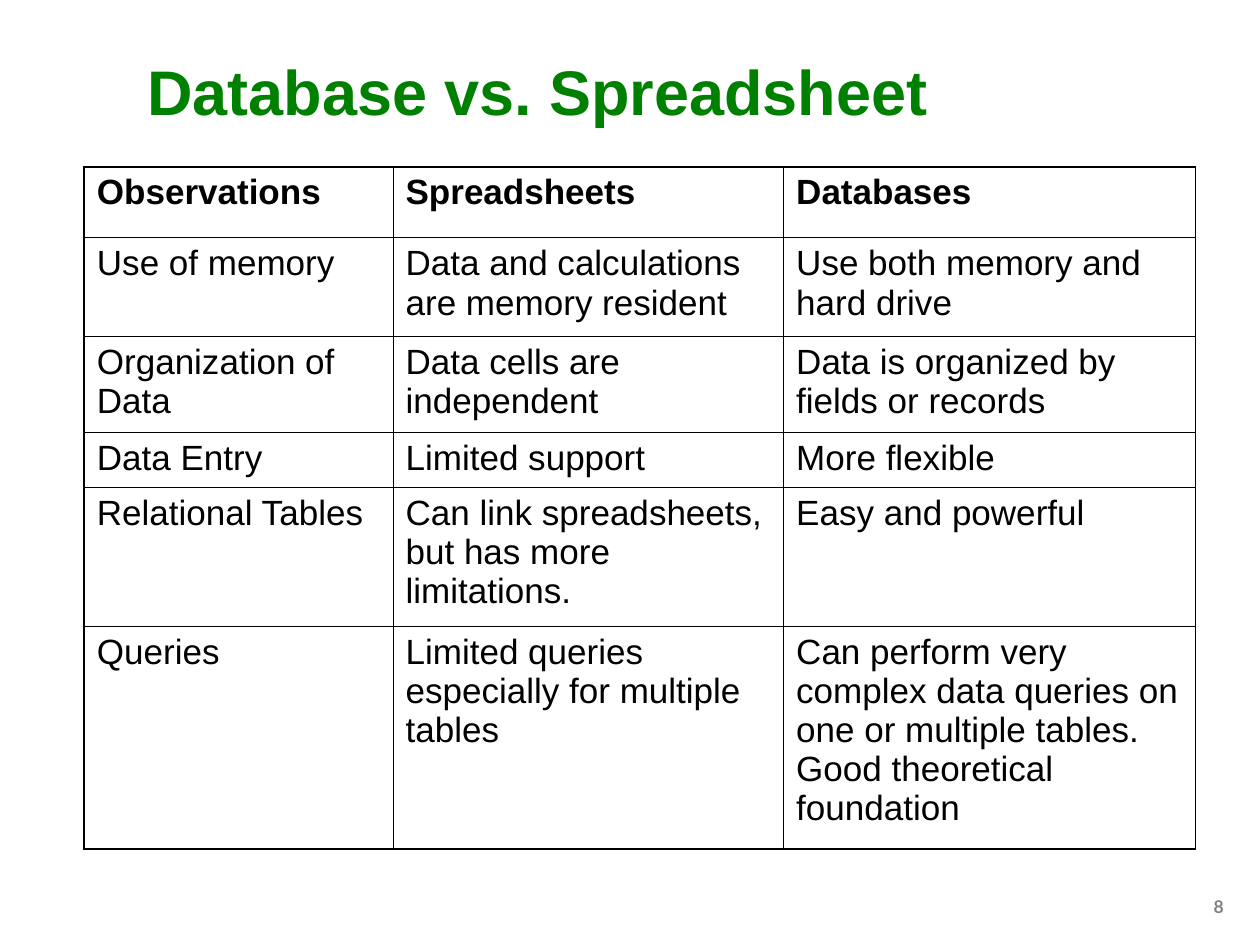
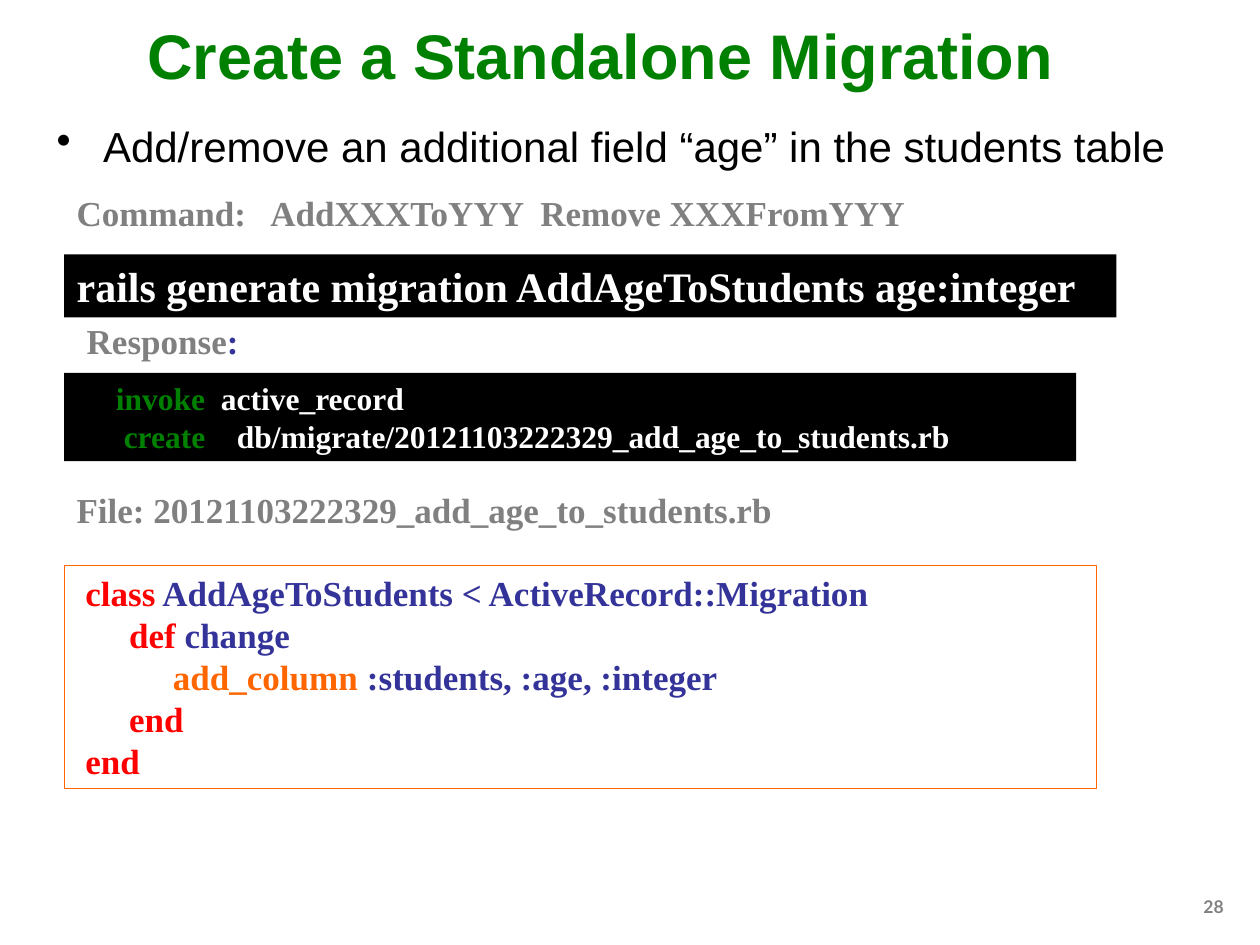
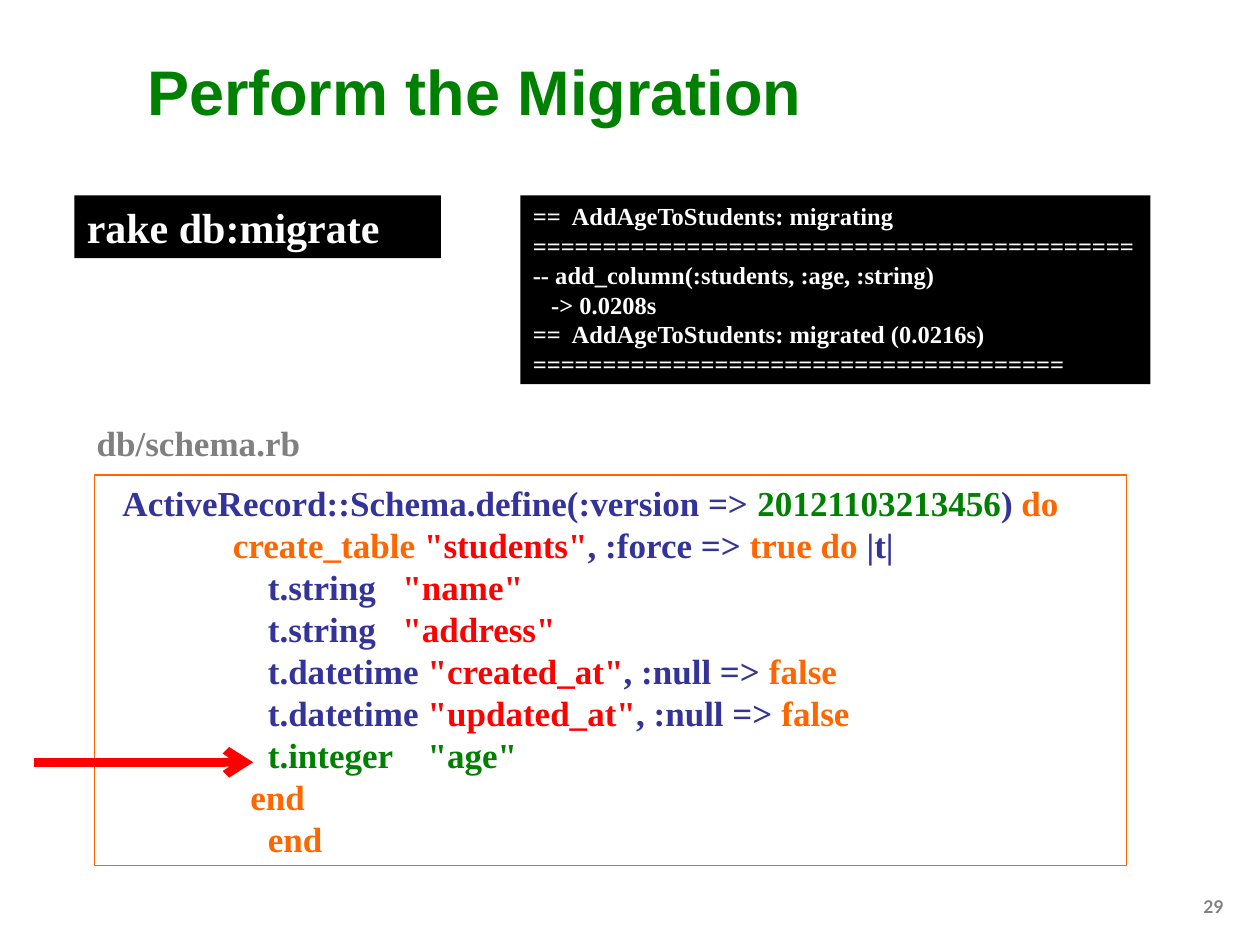
from lxml.etree import SubElement
from pptx import Presentation
from pptx.dml.color import RGBColor
from pptx.enum.shapes import MSO_CONNECTOR, MSO_SHAPE
from pptx.enum.text import MSO_ANCHOR, PP_ALIGN
from pptx.oxml.ns import qn
from pptx.util import Pt

HUES = {
    "black": "000000", "white": "FFFFFF", "green": "008000", "gray": "808080",
    "navy": "333399", "red": "FF0000", "orange": "FF6600",
}
SANS, SERIF, SMALL = "Arial", "Times New Roman", "Lato"
THIN, THICK = 0.45, 1.08

COLS = [176.4, 223.2, 235.4]
ROWS = [40.6, 56.2, 55.2, 31.2, 79.2, 127.4]
CELLS = [
    ["Observations", "Spreadsheets", "Databases"],
    ["Use of memory", "Data and calculations are memory resident",
     "Use both memory and hard drive"],
    ["Organization of Data", "Data cells are independent",
     "Data is organized by fields or records"],
    ["Data Entry", "Limited support", "More flexible"],
    ["Relational Tables", "Can link spreadsheets, but has more limitations.",
     "Easy and powerful"],
    ["Queries", "Limited queries especially for multiple tables",
     "Can perform very complex data queries on one or multiple tables. "
     "Good theoretical foundation"],
]

REPLY = [
    [("     invoke", "green"), ("  active_record", "white")],
    [("      create", "green"),
     ("    db/migrate/20121103222329_add_age_to_students.rb", "white")],
]
CHANGE = [
    [(" class", "red"), (" AddAgeToStudents < ActiveRecord::Migration", "navy")],
    [("      def", "red"), (" change", "navy")],
    [("           add_column ", "orange"), (":students, :age, :integer", "navy")],
    [("      end", "red")],
    [(" end", "red")],
]
LOG = [
    [("==  AddAgeToStudents: migrating " + "=" * 43
      + "-- add_column(:students, :age, :string)", "white")],
    [("   -> 0.0208s", "white")],
    [("==  AddAgeToStudents: migrated (0.0216s) " + "=" * 38, "white")],
]
SCHEMA = [
    [("  ActiveRecord::Schema.define(:version => ", "navy"),
     ("20121103213456", "green"), (") ", "navy"), ("do", "orange")],
    [("create_table ", "orange"), ('"students"', "red"), (", :force => ", "navy"),
     ("true do ", "orange"), ("|t|", "navy")],
    [("    t.string   ", "navy"), ('"name"', "red")],
    [("    t.string   ", "navy"), ('"address"', "red")],
    [("    t.datetime ", "navy"), ('"created_at"', "red"),
     (", :null => ", "navy"), ("false", "orange")],
    [("    t.datetime ", "navy"), ('"updated_at"', "red"),
     (", :null => ", "navy"), ("false", "orange")],
    [('    t.integer    "age"', "green")],
    [("  end", "orange")],
    [("    end", "orange")],
]


def tint(name):
    return RGBColor.from_string(HUES[name])


def style(run, size, face, hue, bold=True):
    font = run.font
    font.size, font.name, font.bold = Pt(size), face, bold
    font.color.rgb = tint(hue)


def add_text(slide, box, text, size, face, hue, bold=True):
    """Add a one-paragraph text box and return its frame."""
    frame = slide.shapes.add_textbox(*map(Pt, box)).text_frame
    frame.word_wrap = True
    frame.text = text
    style(frame.paragraphs[0].runs[0], size, face, hue, bold)
    return frame


def add_page(deck, title, number, top=20.9):
    slide = deck.slides.add_slide(deck.slide_layouts[6])
    frame = add_text(slide, (655.2, 508.3, 51.1, 20.2), str(number), 10, SMALL, "gray")
    frame.paragraphs[0].alignment = PP_ALIGN.RIGHT
    frame = add_text(slide, (77, top, 612, 61.9), title, 36, SANS, "green")
    frame.vertical_anchor = MSO_ANCHOR.MIDDLE
    return slide


def add_label(slide, left, top, parts):
    frame = slide.shapes.add_textbox(Pt(left), Pt(top), Pt(540), Pt(31.7)).text_frame
    fill_lines(frame, [parts], 20)


def fill_lines(frame, lines, size, inset=0):
    """Write coloured lines; inset indents every line after the first."""
    frame.word_wrap = True
    for i, parts in enumerate(lines):
        para = frame.paragraphs[0] if i == 0 else frame.add_paragraph()
        para.alignment = PP_ALIGN.LEFT
        para.line_spacing = Pt(size * 1.2)
        if i and inset:
            para._p.get_or_add_pPr().set("marL", str(Pt(inset)))
        for text, hue in parts:
            run = para.add_run()
            run.text = text
            style(run, size, SERIF, hue)


def add_panel(slide, box, lines, size, fill=None, edge=None, inset=0):
    panel = slide.shapes.add_shape(MSO_SHAPE.RECTANGLE, *map(Pt, box))
    panel.shadow.inherit = False
    if fill:
        panel.fill.solid()
        panel.fill.fore_color.rgb = tint(fill)
    else:
        panel.fill.background()
    if edge:
        panel.line.color.rgb = tint(edge)
        panel.line.width = Pt(0.75)
    else:
        panel.line.fill.background()
    panel.text_frame.vertical_anchor = MSO_ANCHOR.TOP
    fill_lines(panel.text_frame, lines, size, inset)


def add_bullet(slide, box, text):
    para = add_text(slide, box, text, 24, SANS, "black", False).paragraphs[0]
    props = para._p.get_or_add_pPr()
    props.set("marL", str(Pt(26.6)))
    props.set("indent", str(Pt(-26.6)))
    SubElement(props, qn("a:buChar")).set("char", "•")


def add_edges(cell, widths):
    """Draw the left, right, top and bottom borders of a cell."""
    props = cell._tc.get_or_add_tcPr()
    for spot, (side, width) in enumerate(zip("LRTB", widths)):
        line = props.makeelement(qn(f"a:ln{side}"), {"w": str(Pt(width))})
        fill = SubElement(line, qn("a:solidFill"))
        SubElement(fill, qn("a:srgbClr")).set("val", HUES["black"])
        props.insert(spot, line)


def add_grid(slide, left, top):
    shape = slide.shapes.add_table(len(ROWS), len(COLS), Pt(left), Pt(top),
                                   Pt(sum(COLS)), Pt(sum(ROWS)))
    table = shape.table
    for col, width in zip(table.columns, COLS):
        col.width = Pt(width)
    for r, texts in enumerate(CELLS):
        table.rows[r].height = Pt(ROWS[r])
        for c, text in enumerate(texts):
            cell = table.cell(r, c)
            cell.fill.background()
            cell.text = text
            para = cell.text_frame.paragraphs[0]
            para.line_spacing = Pt(22.4)
            style(para.runs[0], 20, SANS, "black", r == 0)
            outer = (c == 0, c == len(COLS) - 1, r == 0, r == len(ROWS) - 1)
            add_edges(cell, [THICK if edge else THIN for edge in outer])


def add_arrow(slide, start, end, y):
    arrow = slide.shapes.add_connector(MSO_CONNECTOR.STRAIGHT,
                                       Pt(start), Pt(y), Pt(end), Pt(y))
    arrow.line.color.rgb = tint("red")
    arrow.line.width = Pt(5)
    SubElement(arrow.line._get_or_add_ln(), qn("a:tailEnd")).set("type", "arrow")
    SubElement(arrow._element.spPr, qn("a:effectLst"))


def main():
    deck = Presentation()
    deck.slide_width, deck.slide_height = Pt(720), Pt(540)

    slide = add_page(deck, "Database vs. Spreadsheet", 8)
    add_grid(slide, 48.2, 95.3)

    slide = add_page(deck, "Create a Standalone Migration", 28, top=0)
    add_bullet(slide, (25.2, 65.5, 668.9, 45.4),
               "Add/remove an additional field “age” in the students table")
    add_panel(slide, (36.7, 145.4, 601.2, 36),
              [[("rails generate migration AddAgeToStudents age:integer", "white")]],
              24, fill="black")
    add_panel(slide, (36.7, 213.1, 578.2, 50.4), REPLY, 18, fill="black")
    add_label(slide, 36.7, 105.8, [("Command:   AddXXXToYYY  Remove XXXFromYYY", "gray")])
    add_label(slide, 42.5, 179.3, [("Response", "gray"), (":", "navy")])
    add_panel(slide, (36.7, 323.3, 589.7, 127.4), CHANGE, 20, edge="orange")
    add_label(slide, 36.7, 275.8, [("File: 20121103222329_add_age_to_students.rb", "gray")])

    slide = add_page(deck, "Perform the Migration", 29)
    add_panel(slide, (42.5, 111.6, 209.5, 36), [[("rake db:migrate", "white")]],
              24, fill="black")
    add_panel(slide, (297.4, 111.6, 360, 108), LOG, 14, fill="black")
    add_panel(slide, (54, 271.4, 589.7, 223.2), SCHEMA, 20, edge="orange", inset=72)
    add_label(slide, 48.2, 237.6, [("db/schema.rb", "gray")])
    add_arrow(slide, 19.4, 144.7, 435.6)

    deck.save("out.pptx")


if __name__ == "__main__":
    main()
